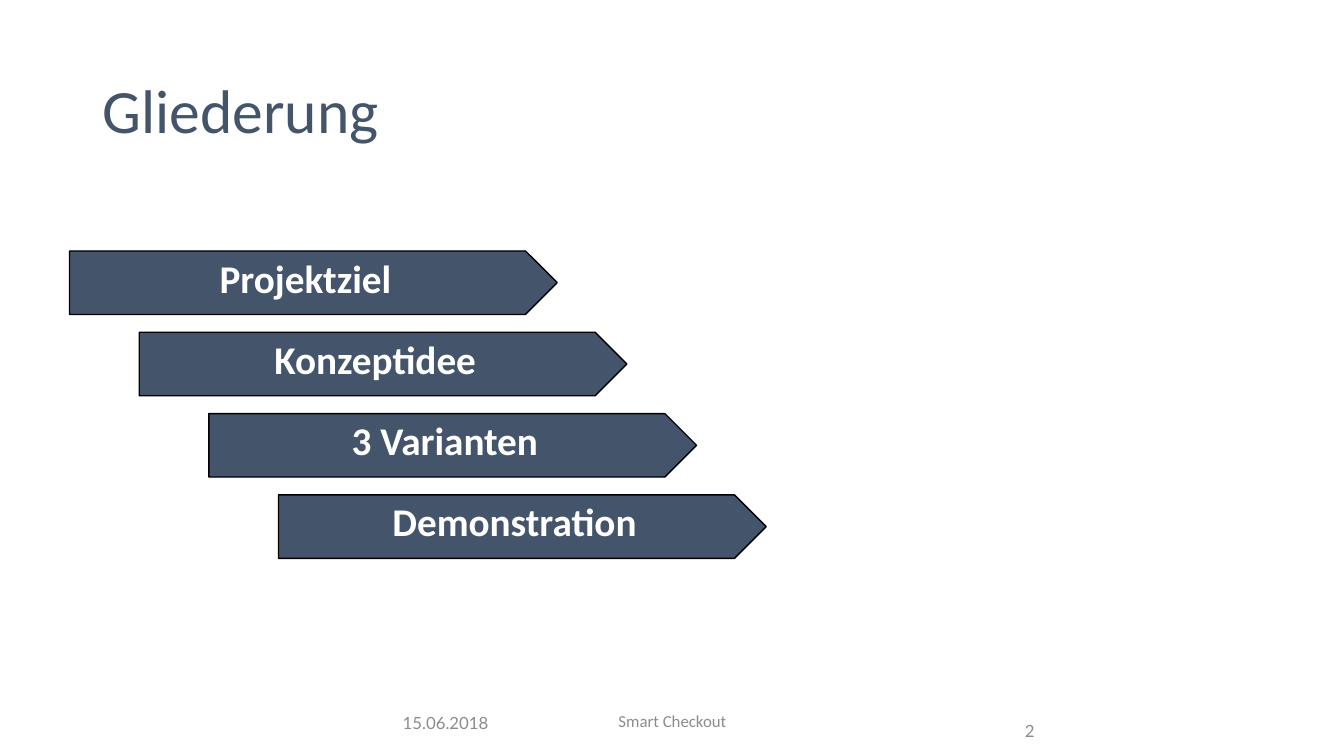
from pptx import Presentation
from pptx.dml.color import RGBColor
from pptx.enum.shapes import MSO_SHAPE
from pptx.enum.text import MSO_ANCHOR, PP_ALIGN
from pptx.util import Inches, Pt

PENTAGON = MSO_SHAPE.PENTAGON
MIDDLE = MSO_ANCHOR.MIDDLE
LEFT, CENTER, RIGHT = PP_ALIGN.LEFT, PP_ALIGN.CENTER, PP_ALIGN.RIGHT

SLATE = RGBColor(0x44, 0x54, 0x6A)
GREY = RGBColor(0x8C, 0x8C, 0x8C)
BLACK = RGBColor(0, 0, 0)
WHITE = RGBColor(255, 255, 255)

TITLE_FONT = dict(name="Calibri", size=Pt(44), color=SLATE)
TOPIC_FONT = dict(name="Calibri", size=Pt(28), bold=True, color=WHITE)
DATE_FONT = dict(name="Lato", size=Pt(12), color=GREY)
PROJECT_FONT = dict(name="Calibri", size=Pt(12), color=GREY)

TOPICS = ["Projektziel", "Konzeptidee", "3 Varianten", "Demonstration"]


def write(frame, text, font, align, spacing):
    frame.word_wrap = True
    frame.vertical_anchor = MIDDLE
    paragraph = frame.paragraphs[0]
    paragraph.alignment = align
    paragraph.line_spacing = spacing
    run = paragraph.add_run()
    run.text = text
    for key, value in font.items():
        if key == "color":
            run.font.color.rgb = value
        else:
            setattr(run.font, key, value)


def add_title(slide, box, text):
    title = slide.shapes.title
    for side, length in zip(("left", "top", "width", "height"), box):
        setattr(title, side, Inches(length))
    write(title.text_frame, text, TITLE_FONT, LEFT, 0.9)


def add_topic_stairs(slide, box, topics):
    left, top, width, height = box
    arrow_width, arrow_height = 0.7 * width, 0.63
    steps = len(topics) - 1
    step_x = (width - arrow_width) / steps
    step_y = (height - arrow_height) / steps
    insets = dict(margin_left=0.12, margin_top=0.16,
                  margin_right=0.12, margin_bottom=0.05)
    for index, topic in enumerate(topics):
        arrow = slide.shapes.add_shape(
            PENTAGON, Inches(left + index * step_x), Inches(top + index * step_y),
            Inches(arrow_width), Inches(arrow_height))
        arrow.shadow.inherit = False
        arrow.fill.solid()
        arrow.fill.fore_color.rgb = SLATE
        arrow.line.color.rgb = BLACK
        arrow.line.width = Pt(1)
        for margin, length in insets.items():
            setattr(arrow.text_frame, margin, Inches(length))
        write(arrow.text_frame, topic, TOPIC_FONT, CENTER, Pt(18))


def add_footer(slide, box):
    left, top, width, height = box
    entries = [
        ("15.06.2018", 0, 0, 3, DATE_FONT, CENTER, Pt(18)),
        ("Smart Checkout", 1.5, 0, 4.5, PROJECT_FONT, CENTER, 1.0),
        ("2", width - 0.77, 0.08, 0.77, DATE_FONT, RIGHT, Pt(18)),
    ]
    for text, dx, dy, entry_width, font, align, spacing in entries:
        entry = slide.shapes.add_textbox(
            Inches(left + dx), Inches(top + dy), Inches(entry_width), Inches(height))
        write(entry.text_frame, text, font, align, spacing)


def main():
    deck = Presentation()
    deck.slide_width, deck.slide_height = Inches(13.33), Inches(7.5)
    slide = deck.slides.add_slide(deck.slide_layouts[5])
    add_title(slide, (0.92, 0.4, 11.5, 1.45), "Gliederung")
    add_topic_stairs(slide, (0.69, 2.49, 6.91, 3.05), TOPICS)
    add_footer(slide, (2.92, 6.95, 7.44, 0.4))
    deck.save("out.pptx")


if __name__ == "__main__":
    main()
